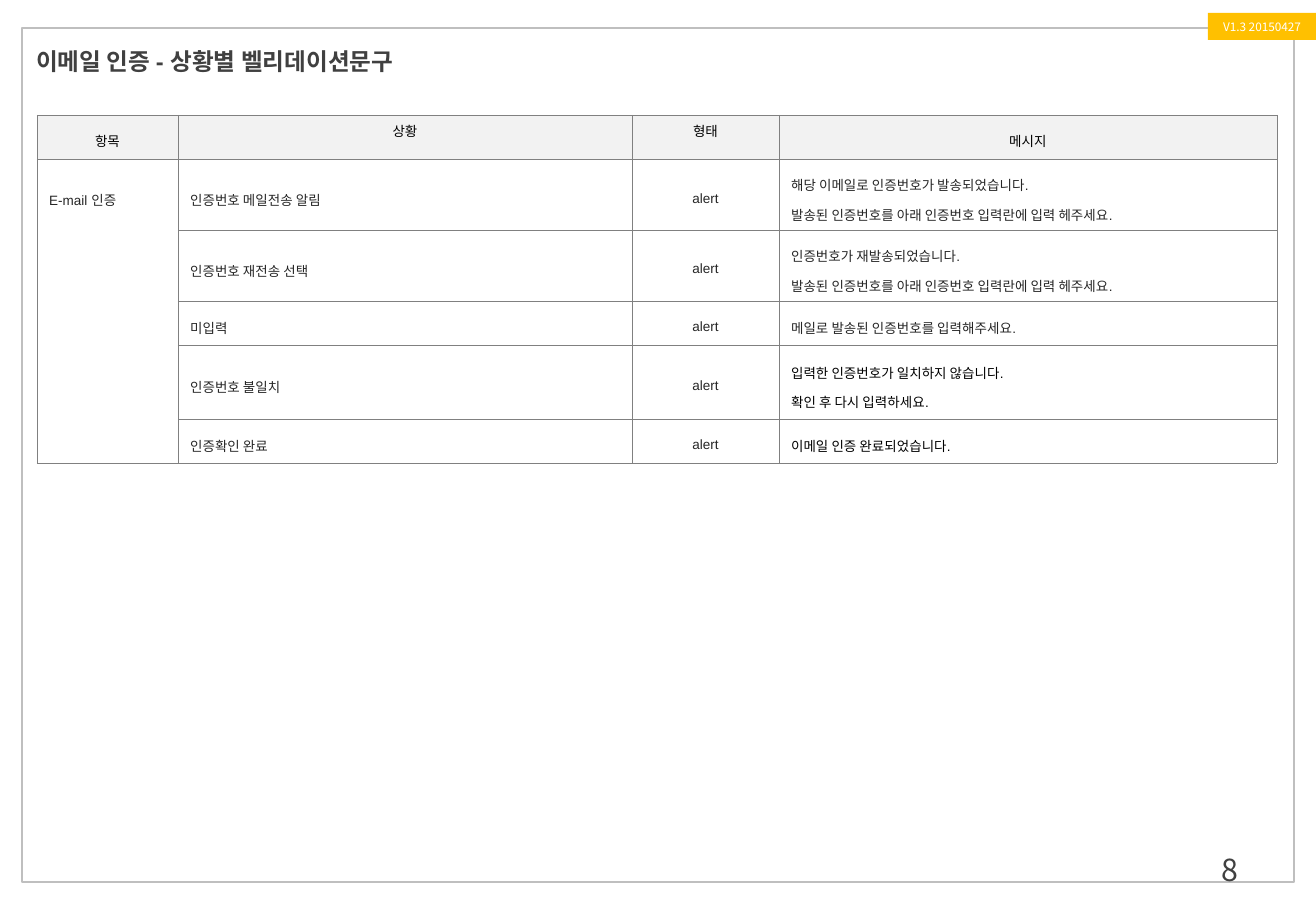
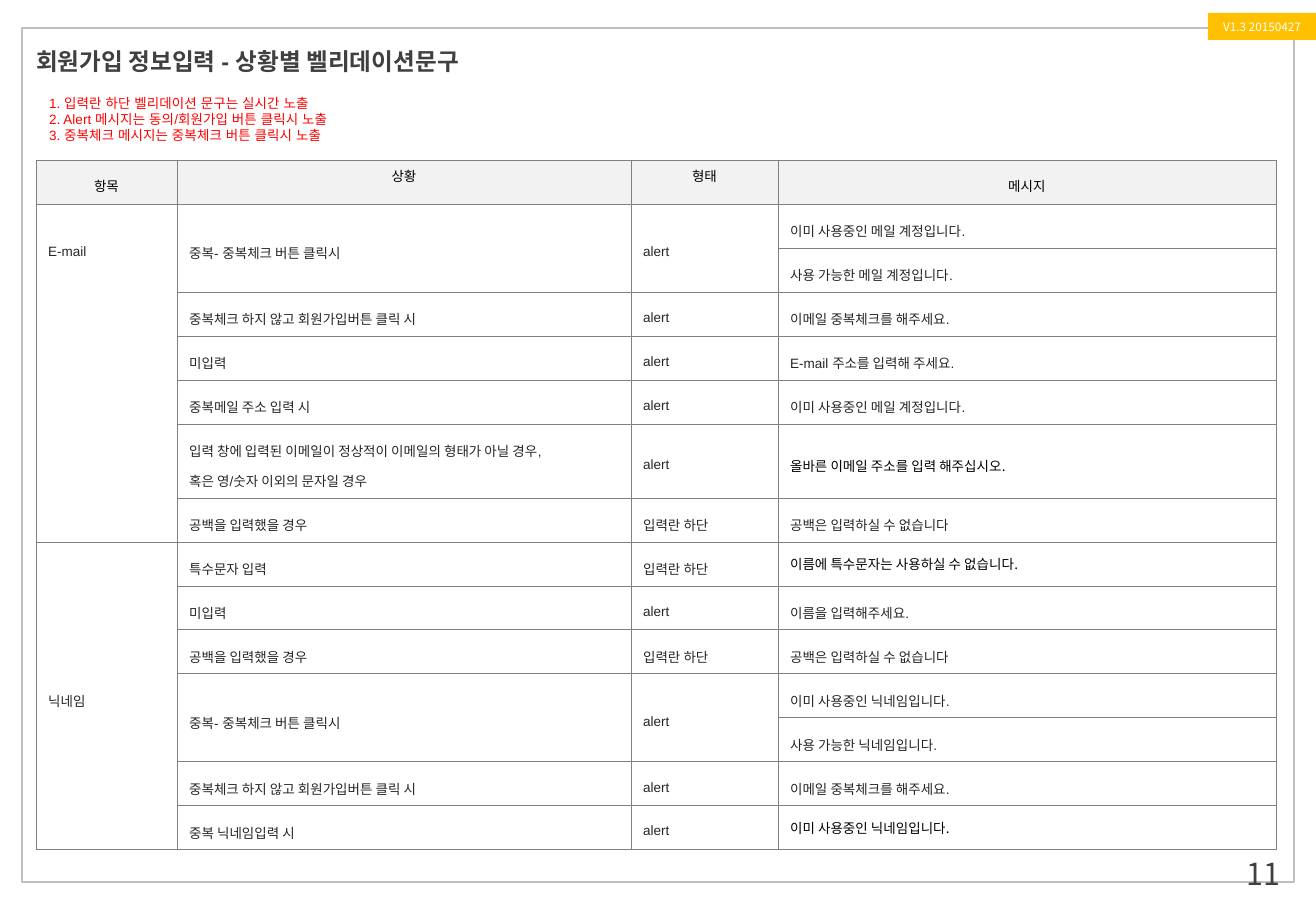
from typing import NamedTuple

from lxml import etree
from pptx import Presentation
from pptx.dml.color import RGBColor
from pptx.enum.shapes import MSO_SHAPE
from pptx.enum.text import MSO_ANCHOR, MSO_AUTO_SIZE, PP_ALIGN
from pptx.oxml.ns import qn
from pptx.util import Emu, Pt

RECTANGLE = MSO_SHAPE.RECTANGLE
TOP, MIDDLE = MSO_ANCHOR.TOP, MSO_ANCHOR.MIDDLE
NO_AUTOFIT = MSO_AUTO_SIZE.NONE
LEFT, CENTER, RIGHT = PP_ALIGN.LEFT, PP_ALIGN.CENTER, PP_ALIGN.RIGHT

EMU_PER_PX = 7526
LATIN, KOREAN = "Arial", "Noto Sans CJK KR"
BLACK, WHITE, RED, AMBER = "000000", "FFFFFF", "FF0000", "FFC000"
INK, TITLE_GRAY = "262626", "404040"
BORDER_GRAY, FRAME_GRAY, HEADER_GRAY = "808080", "BFBFBF", "F2F2F2"

COLUMN_WIDTHS = (141, 454, 147, 498)
ROW, TWO_LINE_ROW, TALL_ROW = 44, 71, 74
TABLE_TEXT_SIZE = 8


class Entry(NamedTuple):
    text: str
    color: str = INK
    font: str = LATIN
    spacing: float = 1.5


HEADER = (
    Entry("항목", BLACK),
    Entry("상황", BLACK, KOREAN, 1.0),
    Entry("형태", BLACK, KOREAN, 1.0),
    Entry("메시지", BLACK),
)

# None joins the cell above; an empty text is a blank cell in the same group.
EMAIL_CHECK_ROWS = (
    HEADER,
    ("E-mail 인증", "인증번호 메일전송 알림", "alert",
     "해당 이메일로 인증번호가 발송되었습니다.\n발송된 인증번호를 아래 인증번호 입력란에 입력 헤주세요."),
    ("", "인증번호 재전송 선택", "alert",
     "인증번호가 재발송되었습니다.\n발송된 인증번호를 아래 인증번호 입력란에 입력 헤주세요."),
    ("", "미입력", "alert", "메일로 발송된 인증번호를 입력해주세요."),
    ("", "인증번호 불일치", "alert",
     Entry("입력한 인증번호가 일치하지 않습니다.\n확인 후 다시 입력하세요.", BLACK)),
    ("", "인증확인 완료", "alert", Entry("이메일 인증 완료되었습니다.", BLACK)),
)

SIGN_UP_ROWS = (
    HEADER,
    ("E-mail", "중복- 중복체크 버튼 클릭시", "alert", "이미 사용중인 메일 계정입니다."),
    (None, None, None, "사용 가능한 메일 계정입니다."),
    ("", "중복체크 하지 않고 회원가입버튼 클릭 시", "alert", "이메일 중복체크를 해주세요."),
    ("", "미입력", "alert", "E-mail 주소를 입력해 주세요."),
    ("", "중복메일 주소 입력 시", "alert", "이미 사용중인 메일 계정입니다."),
    ("", "입력 창에 입력된 이메일이 정상적이 이메일의 형태가 아닐 경우,\n혹은 영/숫자 이외의 문자일 경우",
     "alert", Entry("올바른 이메일 주소를 입력 해주십시오.", BLACK, KOREAN)),
    ("", "공백을 입력했을 경우", "입력란 하단", "공백은 입력하실 수 없습니다"),
    ("닉네임", "특수문자 입력", "입력란 하단",
     Entry("이름에 특수문자는 사용하실 수 없습니다.", BLACK, KOREAN, 1.0)),
    (None, "미입력", "alert", "이름을 입력해주세요."),
    (None, "공백을 입력했을 경우", "입력란 하단", "공백은 입력하실 수 없습니다"),
    (None, "중복- 중복체크 버튼 클릭시", "alert", "이미 사용중인 닉네임입니다."),
    (None, None, None, "사용 가능한 닉네임입니다."),
    (None, "중복체크 하지 않고 회원가입버튼 클릭 시", "alert", "이메일 중복체크를 해주세요."),
    (None, "중복 닉네임입력 시", "alert",
     Entry("이미 사용중인 닉네임입니다.", BLACK, KOREAN, 1.0)),
)

NOTES = (
    "1. 입력란 하단 벨리데이션 문구는 실시간 노출\n"
    "2. Alert 메시지는 동의/회원가입 버튼 클릭시 노출\n"
    "3. 중복체크 메시지는 중복체크 버튼 클릭시 노출"
)


def px(value):
    return Emu(value * EMU_PER_PX)


def rgb(color):
    return RGBColor.from_string(color)


def place(shape, left, top, width, height):
    shape.left, shape.top = px(left), px(top)
    shape.width, shape.height = px(width), px(height)


def write(text_frame, text, size, color, font=LATIN, east_asian=KOREAN,
          align=LEFT, spacing=1.0, bold=False):
    text_frame.text = text
    for paragraph in text_frame.paragraphs:
        paragraph.alignment = align
        paragraph.line_spacing = spacing
        paragraph.space_before = Pt(0)
        for run in paragraph.runs:
            run.font.size = Pt(size)
            run.font.bold = bold
            run.font.name = font
            run.font.color.rgb = rgb(color)
            properties = run.font.element if hasattr(run.font, "element") else run._r.get_or_add_rPr()
            etree.SubElement(properties, qn("a:ea"), typeface=east_asian)


def add_rectangle(slide, box, fill=None, line=None):
    shape = slide.shapes.add_shape(RECTANGLE, *map(px, box))
    shape.shadow.inherit = False
    if fill:
        shape.fill.solid()
        shape.fill.fore_color.rgb = rgb(fill)
    else:
        shape.fill.background()
    if line:
        shape.line.color.rgb = rgb(line)
        shape.line.width = Pt(1)
    else:
        shape.line.fill.background()
    return shape


def add_master_frame(presentation, slide):
    frame = add_rectangle(slide, (22, 28, 1272, 854), line=FRAME_GRAY)
    presentation.slide_master.shapes.element.insert(2, frame.element)


def add_version_badge(slide):
    badge = add_rectangle(slide, (1208, 13, 108, 27), fill=AMBER)
    badge.text_frame.vertical_anchor = MIDDLE
    write(badge.text_frame, "V1.3 20150427", 7, WHITE, KOREAN, align=CENTER)


def add_page_number(slide, number, left, top):
    box = slide.shapes.add_textbox(px(left), px(top), px(307), px(49))
    box.text_frame.word_wrap = True
    write(box.text_frame, str(number), 18, TITLE_GRAY, KOREAN, align=RIGHT)


def set_title(slide, text):
    title = slide.shapes.title
    place(title, 24, 29, 550, 64)
    title.text_frame.auto_size = NO_AUTOFIT
    title.text_frame.vertical_anchor = MIDDLE
    write(title.text_frame, text, 14, TITLE_GRAY, bold=True)


def set_notes(slide, text):
    notes = slide.placeholders[1]
    place(notes, 37, 89, 445, 61)
    notes.text_frame.auto_size = NO_AUTOFIT
    notes.text_frame.vertical_anchor = TOP
    write(notes.text_frame, text, TABLE_TEXT_SIZE, RED, east_asian=LATIN)
    for paragraph in notes.text_frame.paragraphs:
        properties = paragraph._p.get_or_add_pPr()
        properties.set("marL", "0")
        properties.set("indent", "0")
        etree.SubElement(properties, qn("a:buNone"))


def set_borders(cell, open_sides):
    properties = cell._tc.get_or_add_tcPr()
    for side in "LRTB":
        line = etree.SubElement(properties, qn(f"a:ln{side}"), w=str(Pt(0.25)))
        if side in open_sides:
            etree.SubElement(line, qn("a:noFill"))
        else:
            fill = etree.SubElement(line, qn("a:solidFill"))
            etree.SubElement(fill, qn("a:srgbClr"), val=BORDER_GRAY)


def fill_cell(cell, content, is_header, align, open_sides):
    set_borders(cell, open_sides)
    cell.fill.solid()
    cell.fill.fore_color.rgb = rgb(HEADER_GRAY if is_header else WHITE)
    cell.vertical_anchor = TOP if is_header else MIDDLE
    if content:
        entry = content if isinstance(content, Entry) else Entry(content)
        write(cell.text_frame, entry.text, TABLE_TEXT_SIZE, entry.color, entry.font,
              align=align, spacing=entry.spacing)
    else:
        etree.SubElement(cell.text_frame.paragraphs[0]._p, qn("a:endParaRPr"),
                         sz=str(TABLE_TEXT_SIZE * 100))


def add_message_table(slide, left, top, rows, heights, form_align):
    frame = slide.shapes.add_table(len(rows), len(COLUMN_WIDTHS), px(left), px(top),
                                   px(sum(COLUMN_WIDTHS)), px(sum(heights)))
    table = frame.table
    table.first_row = table.horz_banding = False
    for row, height in zip(table.rows, heights):
        row.height = px(height)
    for column_index, width in enumerate(COLUMN_WIDTHS):
        table.columns[column_index].width = px(width)
        contents = [row[column_index] for row in rows]
        for row_index, content in enumerate(contents):
            last = row_index
            while last + 1 < len(rows) and contents[last + 1] is None:
                last += 1
            open_sides = "T" if content == "" else ""
            if last + 1 < len(rows) and contents[last + 1] == "":
                open_sides += "B"
            is_header = row_index == 0
            align = CENTER if is_header else form_align if column_index == 2 else LEFT
            cell = table.cell(row_index, column_index)
            fill_cell(cell, content, is_header, align, open_sides)
            if content is not None and last > row_index:
                cell.merge(table.cell(last, column_index))


def add_page(presentation, layout_index, title):
    slide = presentation.slides.add_slide(presentation.slide_layouts[layout_index])
    set_title(slide, title)
    add_version_badge(slide)
    return slide


def main():
    presentation = Presentation()
    presentation.slide_width, presentation.slide_height = px(1316), px(911)

    email_check = add_page(presentation, 5, "이메일 인증 - 상황별 벨리데이션문구")
    add_master_frame(presentation, email_check)
    add_page_number(email_check, 8, 943, 845)
    heights = (ROW, TWO_LINE_ROW, TWO_LINE_ROW, ROW, TALL_ROW, ROW)
    add_message_table(email_check, 37, 115, EMAIL_CHECK_ROWS, heights, CENTER)

    sign_up = add_page(presentation, 1, "회원가입 정보입력 - 상황별 벨리데이션문구")
    add_page_number(sign_up, 11, 985, 849)
    heights = [ROW] * len(SIGN_UP_ROWS)
    heights[6] = TALL_ROW
    add_message_table(sign_up, 36, 160, SIGN_UP_ROWS, heights, LEFT)
    set_notes(sign_up, NOTES)

    presentation.save("out.pptx")


if __name__ == "__main__":
    main()
